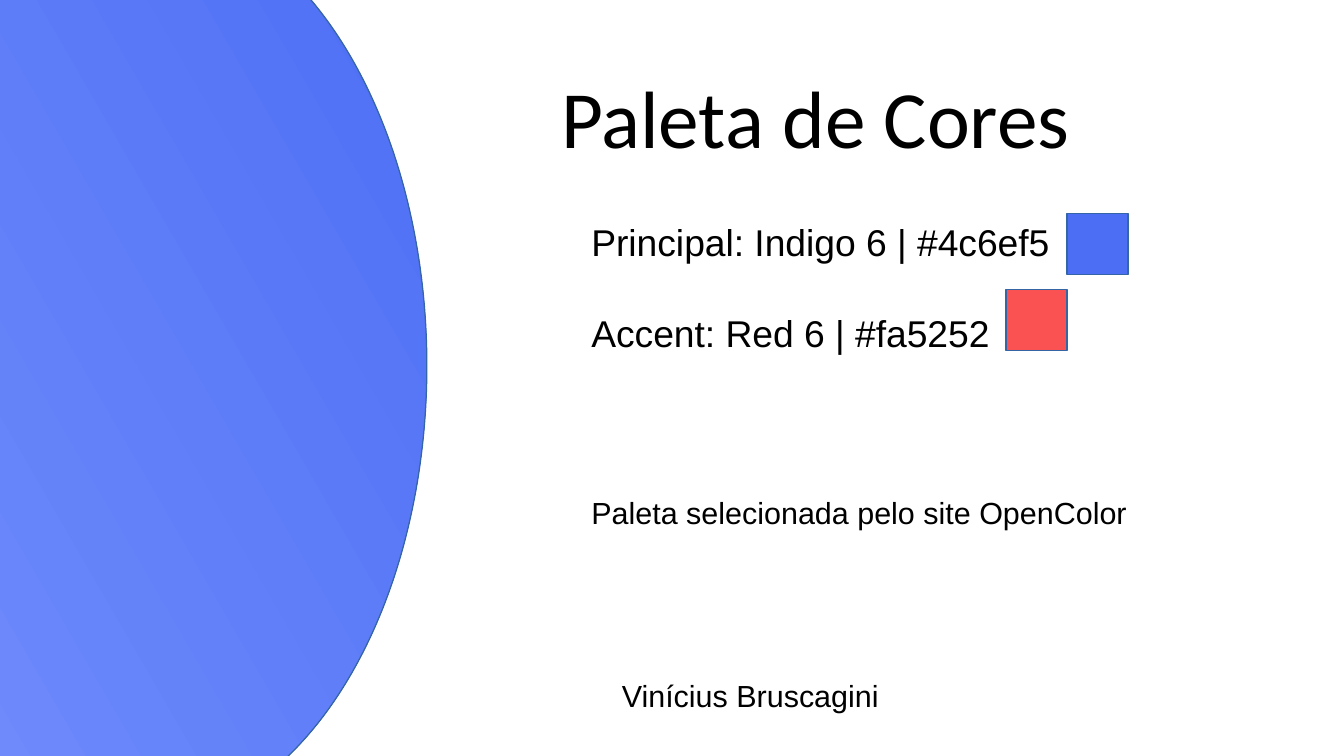
from collections import namedtuple

from pptx import Presentation
from pptx.dml.color import RGBColor
from pptx.enum.shapes import MSO_SHAPE
from pptx.enum.text import MSO_ANCHOR, MSO_AUTO_SIZE, PP_ALIGN
from pptx.util import Inches, Pt

COLORS = {
    "indigo": "4C6EF5",
    "indigo_light": "748FFC",
    "red": "FA5252",
    "outline": "3465A4",
    "text": "000000",
}
CELL = 0.25
Box = namedtuple("Box", "col row cols rows")


def rgb(name):
    return RGBColor.from_string(COLORS[name])


def place(box):
    return [Inches(cells * CELL) for cells in box]


def add_outlined(slide, kind, box):
    shape = slide.shapes.add_shape(kind, *place(box))
    shape.shadow.inherit = False
    shape.line.color.rgb = rgb("outline")
    shape.line.width = Pt(0)
    return shape


def write(holder, lines, size, font="Arial", gap=0):
    frame = holder.text_frame
    frame.text = "\n".join(lines)
    frame.word_wrap = True
    frame.auto_size = MSO_AUTO_SIZE.SHAPE_TO_FIT_TEXT
    frame.vertical_anchor = MSO_ANCHOR.TOP
    for index, paragraph in enumerate(frame.paragraphs):
        paragraph.alignment = PP_ALIGN.LEFT
        paragraph.space_before = Pt(gap if index else 0)
        for run in paragraph.runs:
            run.font.name = font
            run.font.size = Pt(size)
            run.font.color.rgb = rgb("text")


def add_side_disc(slide, box):
    disc = add_outlined(slide, MSO_SHAPE.OVAL, box)
    disc.fill.gradient()
    disc.fill.gradient_angle = 210
    for stop, name in zip(disc.fill.gradient_stops, ("indigo", "indigo_light")):
        stop.color.rgb = rgb(name)


def add_heading(slide, box):
    heading = slide.shapes.title
    heading.left, heading.top, heading.width, heading.height = place(box)
    write(heading, ["Paleta de Cores"], 48, "Calibri")


def add_caption(slide, box, caption):
    write(slide.shapes.add_textbox(*place(box)), [caption], 18)


def add_palette(slide, box):
    labels = ["Principal: Indigo 6 | #4c6ef5", "Accent: Red 6 | #fa5252"]
    write(slide.shapes.add_textbox(*place(box)), labels, 22, gap=27)
    for name, col, row in (("indigo", 16, 0), ("red", 14, 2.5)):
        swatch_box = Box(box.col + col, box.row + row, 2, 2)
        swatch = add_outlined(slide, MSO_SHAPE.RECTANGLE, swatch_box)
        swatch.fill.solid()
        swatch.fill.fore_color.rgb = rgb(name)


def build_palette_slide(deck):
    slide = deck.slides.add_slide(deck.slide_layouts[5])
    add_side_disc(slide, Box(-5, -3, 19, 30))
    add_heading(slide, Box(18, 2, 24, 4))
    add_palette(slide, Box(19, 7, 22, 4.5))
    add_caption(slide, Box(20, 22, 20, 1.5), "Vinícius Bruscagini")
    add_caption(slide, Box(19, 16, 21, 1.5), "Paleta selecionada pelo site OpenColor")


def main():
    deck = Presentation()
    deck.slide_width = Inches(11.02)
    deck.slide_height = Inches(6.2)
    build_palette_slide(deck)
    deck.save("out.pptx")


if __name__ == "__main__":
    main()
